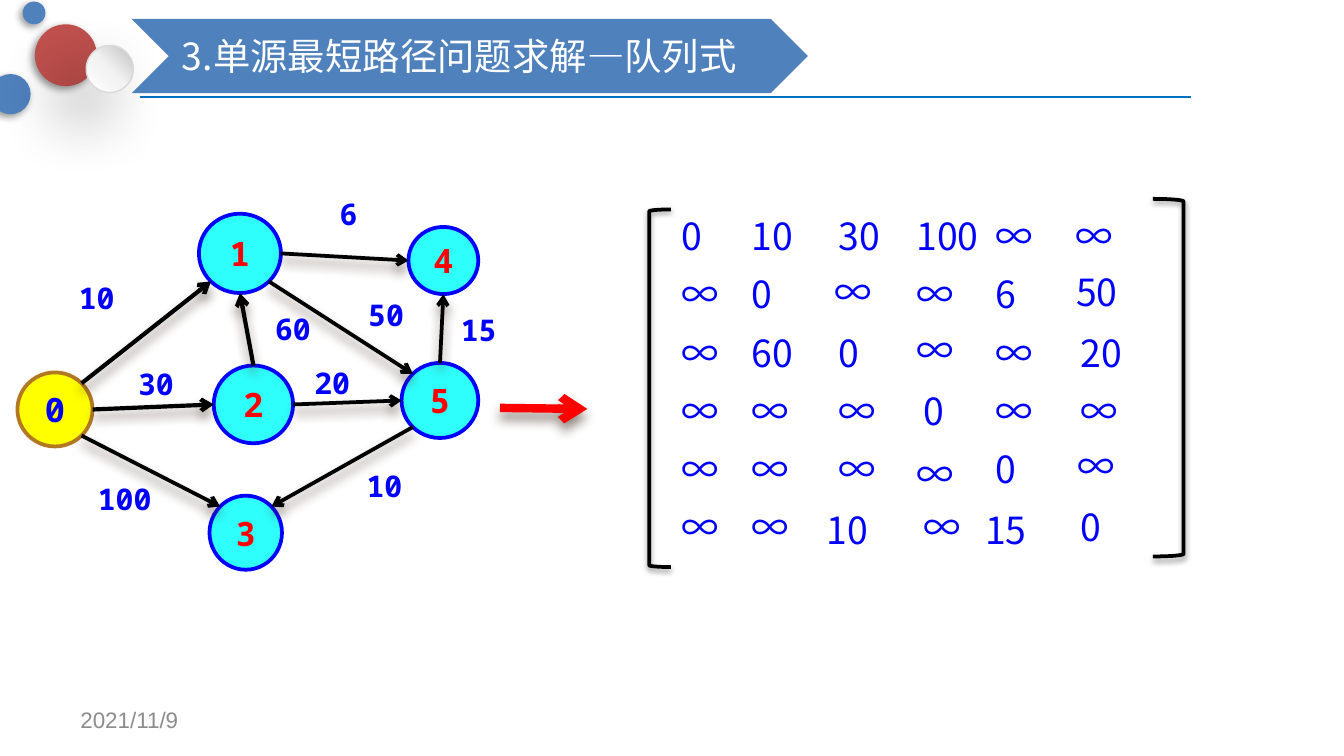
from dataclasses import dataclass
from math import cos, radians, sin

from lxml import etree
from pptx import Presentation
from pptx.dml.color import RGBColor
from pptx.enum.shapes import MSO_CONNECTOR, MSO_SHAPE
from pptx.enum.text import MSO_ANCHOR, PP_ALIGN
from pptx.oxml.ns import qn
from pptx.util import Cm, Pt

STRAIGHT = MSO_CONNECTOR.STRAIGHT
ELLIPSE, CHEVRON = MSO_SHAPE.OVAL, MSO_SHAPE.CHEVRON
LEFT_BRACKET, RIGHT_BRACKET = MSO_SHAPE.LEFT_BRACKET, MSO_SHAPE.RIGHT_BRACKET
MIDDLE, TOP = MSO_ANCHOR.MIDDLE, MSO_ANCHOR.TOP
LEFT, CENTER = PP_ALIGN.LEFT, PP_ALIGN.CENTER

CJK, MONO = "Noto Sans CJK SC", "Noto Sans Mono"
BLUE, RED, BLACK, WHITE, STEEL = "0000FF", "FF0000", "000000", "FFFFFF", "4F81BD"

TITLE_FONT = {"name": CJK, "size": Pt(20), "color": WHITE}
DATE_FONT = {"name": "Arial", "size": Pt(12), "color": "8C8C8C"}
NODE_FONT = {"name": MONO, "size": Pt(18), "bold": True}
WEIGHT_FONT = {"name": MONO, "size": Pt(16), "bold": True, "color": BLUE}
MATRIX_FONT = {"name": CJK, "size": Pt(20), "color": BLUE}


@dataclass(frozen=True)
class Box:
    left: float
    top: float
    width: float
    height: float

    def lengths(self) -> tuple:
        return Cm(self.left), Cm(self.top), Cm(self.width), Cm(self.height)

    def rim(self, angle: float) -> tuple[float, float]:
        """Point on the inscribed ellipse, clockwise from the right."""
        turn = radians(angle)
        return (self.left + self.width * (1 + cos(turn)) / 2,
                self.top + self.height * (1 + sin(turn)) / 2)


@dataclass(frozen=True)
class Shadow:
    """Opacity in percent, blur and distance in points, angle in degrees."""
    color: str
    opacity: float
    blur: float
    distance: float
    angle: float


@dataclass(frozen=True)
class Edge:
    """Arrow leaving at an angle and arriving on the opposite side."""
    start: str
    end: str
    angle: float
    weight: str
    label_left: float
    label_top: float
    label_width: float = 2.03
    inset: float = 0.25
    line_width: float = 2


BALL_SHADOW = Shadow(BLACK, 40, 4, 2, 135)
GLASS_SHADOW = Shadow(BLACK, 40, 35, 20, 135)
ARROW_SHADOW = Shadow("4E3B30", 60, 6, 4, 90)
BRACKET_SHADOW = Shadow(BLACK, 38, 3.1, 1.6, 90)

BALLS = [(Box(0.66, 0.46, 1.17, 1.17), "C0504D"), (Box(-0.18, 1.4, 0.76, 0.76), STEEL),
         (Box(0.43, 0.03, 0.43, 0.43), STEEL)]
GLASS_BALL = Box(1.63, 0.86, 0.89, 0.89)
GLASS_STOPS = [(0, WHITE), (50, "F2F2F2"), (100, "BFBFBF")]

NODES = {
    "0": Box(0.33, 7.04, 1.42, 1.4), "1": Box(3.76, 4.04, 1.55, 1.5),
    "2": Box(4.04, 6.91, 1.5, 1.47), "5": Box(7.59, 6.86, 1.45, 1.42),
    "3": Box(3.96, 9.37, 1.37, 1.4), "4": Box(7.72, 4.29, 1.32, 1.27),
}
EDGES = [
    Edge("0", "1", -45, "10", 1.24, 5.16, line_width=2.25),
    Edge("0", "3", 45, "100", 1.85, 8.97, inset=0),
    Edge("0", "2", 0, "30", 2.36, 6.78, line_width=2.25),
    Edge("1", "5", 45, "50", 6.71, 5.49),
    Edge("2", "5", 0, "20", 5.69, 6.76),
    Edge("5", "3", 135, "10", 6.68, 8.71),
    Edge("1", "4", 0, "6", 6.17, 3.58, label_width=1.52),
    Edge("2", "1", -90, "60", 4.95, 5.74, label_width=1.45, line_width=2.25),
    Edge("5", "4", -90, "15", 8.46, 5.77),
]

MATRIX = ["0 10 30 100 ∞ ∞", "∞ 0 ∞ ∞ 6 50", "∞ 60 0 ∞ ∞ 20",
          "∞ ∞ ∞ 0 ∞ ∞", "∞ ∞ ∞ ∞ 0 ∞", "∞ ∞ 10 ∞ 15 0"]
COLUMN_LEFTS = [12.88, 14.2, 15.85, 17.32, 18.82, 20.42]
MATRIX_TOP, ROW_STEP = 3.91, 1.1
NUDGES = {(0, 5): (-0.1, 0), (1, 2): (-0.08, -0.05), (1, 5): (-0.08, -0.05),
          (2, 3): (0, -0.05), (3, 3): (0.13, 0), (4, 3): (0, 0.1), (4, 5): (-0.05, -0.05),
          (5, 2): (-0.23, 0.05), (5, 3): (0.13, 0), (5, 4): (-0.2, 0.05)}
BRACKETS = [(LEFT_BRACKET, Box(12.27, 3.96, 0.41, 6.76)),
            (RIGHT_BRACKET, Box(21.79, 3.76, 0.58, 6.76))]


def rgb(color: str) -> RGBColor:
    return RGBColor.from_string(color)


def add_color(parent, color: str):
    return etree.SubElement(parent, qn("a:srgbClr"), val=color)


def set_shadow(shape, shadow: Shadow | None) -> None:
    """Ends the shape properties, so fill and line must be set before."""
    effects = etree.SubElement(shape._element.spPr, qn("a:effectLst"))
    if shadow:
        outer = etree.SubElement(
            effects, qn("a:outerShdw"), blurRad=str(Pt(shadow.blur)),
            dist=str(Pt(shadow.distance)), dir=str(shadow.angle * 60000),
            algn="ctr", rotWithShape="0")
        etree.SubElement(add_color(outer, shadow.color), qn("a:alpha"),
                         val=str(shadow.opacity * 1000))


def set_gradient(shape, stops: list[tuple[int, str]], angle: int) -> None:
    shape.fill.gradient()
    shape.fill.gradient_angle = angle
    stop_list = shape._element.spPr.find(".//" + qn("a:gsLst"))
    for stop in list(stop_list):
        stop_list.remove(stop)
    for position, color in stops:
        add_color(etree.SubElement(stop_list, qn("a:gs"), pos=str(position * 1000)), color)


def write(shape, text: str, font_format: dict, inset: float = 0.25,
          anchor=TOP, alignment=LEFT) -> None:
    frame = shape.text_frame
    frame_format = {"word_wrap": True, "vertical_anchor": anchor,
                    "margin_left": Cm(inset), "margin_right": Cm(inset)}
    for name, value in frame_format.items():
        setattr(frame, name, value)
    paragraph = frame.paragraphs[0]
    paragraph.alignment = alignment
    run = paragraph.add_run()
    run.text = text
    for name, value in font_format.items():
        if name == "color":
            run.font.color.rgb = rgb(value)
        else:
            setattr(run.font, name, value)
    etree.SubElement(run._r.get_or_add_rPr(), qn("a:ea"), typeface=font_format["name"])


def add_text(slide, box: Box, text: str, font_format: dict, **layout) -> None:
    write(slide.shapes.add_textbox(*box.lengths()), text, font_format, **layout)


def add_shape(slide, kind, box: Box, fill: str | None = None, line: str | None = None,
              line_width: float = 2, shadow: Shadow | None = None, gradient=None):
    shape = slide.shapes.add_shape(kind, *box.lengths())
    if gradient:
        set_gradient(shape, gradient, 45)
    elif fill:
        shape.fill.solid()
        shape.fill.fore_color.rgb = rgb(fill)
    else:
        shape.fill.background()
    if line:
        shape.line.color.rgb = rgb(line)
        shape.line.width = Pt(line_width)
    else:
        shape.line.fill.background()
    set_shadow(shape, shadow)
    return shape


def add_line(slide, start: tuple[float, float], end: tuple[float, float], color: str,
             width: float, arrow: bool = True) -> None:
    points = [Cm(value) for value in (*start, *end)]
    connector = slide.shapes.add_connector(STRAIGHT, *points)
    connector.line.color.rgb = rgb(color)
    connector.line.width = Pt(width)
    if arrow:
        etree.SubElement(connector.line._get_or_add_ln(), qn("a:tailEnd"), type="arrow")
    set_shadow(connector, ARROW_SHADOW if arrow else None)


def draw_header(slide) -> None:
    add_line(slide, (2.64, 1.83), (22.5, 1.83), "0070C0", 1.25, arrow=False)
    for box, color in BALLS[:2]:
        add_shape(slide, ELLIPSE, box, color, shadow=BALL_SHADOW)
    add_shape(slide, ELLIPSE, GLASS_BALL, line="D9D9D9", line_width=0.75,
              shadow=GLASS_SHADOW, gradient=GLASS_STOPS)
    box, color = BALLS[2]
    add_shape(slide, ELLIPSE, box, color, shadow=BALL_SHADOW)
    title = add_shape(slide, CHEVRON, Box(2.49, 0.36, 12.78, 1.4), STEEL)
    write(title, "3.单源最短路径问题求解—队列式", TITLE_FONT, anchor=MIDDLE)


def draw_graph(slide) -> None:
    for name, box in NODES.items():
        is_source = name == "0"
        fill, line, color = ("FFFF00", "B27822", BLUE) if is_source else ("2EFFFC", BLUE, RED)
        node = add_shape(slide, ELLIPSE, box, fill, line)
        write(node, name, {**NODE_FONT, "color": color}, inset=0, anchor=MIDDLE,
              alignment=CENTER)
    for edge in EDGES:
        add_line(slide, NODES[edge.start].rim(edge.angle),
                 NODES[edge.end].rim(edge.angle + 180), BLACK, edge.line_width)
        label = Box(edge.label_left, edge.label_top, edge.label_width, 0.94)
        add_text(slide, label, edge.weight, WEIGHT_FONT, inset=edge.inset)


def draw_matrix(slide) -> None:
    for row, line in enumerate(MATRIX):
        for column, value in enumerate(line.split()):
            right, down = NUDGES.get((row, column), (0, 0))
            box = Box(COLUMN_LEFTS[column] + right, MATRIX_TOP + row * ROW_STEP + down, 1.4, 1.12)
            add_text(slide, box, value, MATRIX_FONT, inset=0)
    for kind, box in BRACKETS:
        add_shape(slide, kind, box, line=BLACK, shadow=BRACKET_SHADOW)


def main() -> None:
    presentation = Presentation()
    presentation.slide_width, presentation.slide_height = Cm(25.4), Cm(14.29)
    slide = presentation.slides.add_slide(presentation.slide_layouts[6])
    draw_header(slide)
    add_text(slide, Box(1.27, 13.23, 5.92, 0.76), "2021/11/9", DATE_FONT, anchor=MIDDLE)
    draw_graph(slide)
    add_line(slide, (9.45, 7.71), (11.1, 7.73), RED, 4.5)
    draw_matrix(slide)
    presentation.save("out.pptx")


if __name__ == "__main__":
    main()
